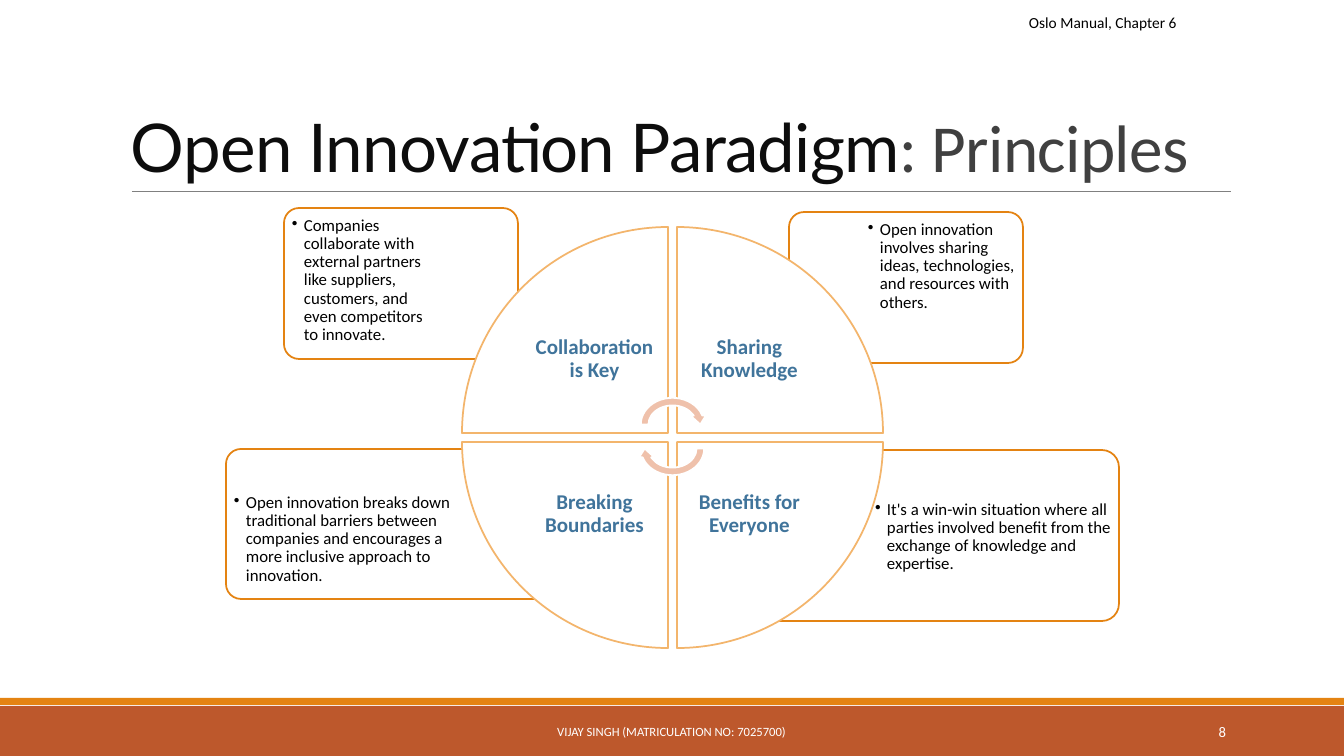
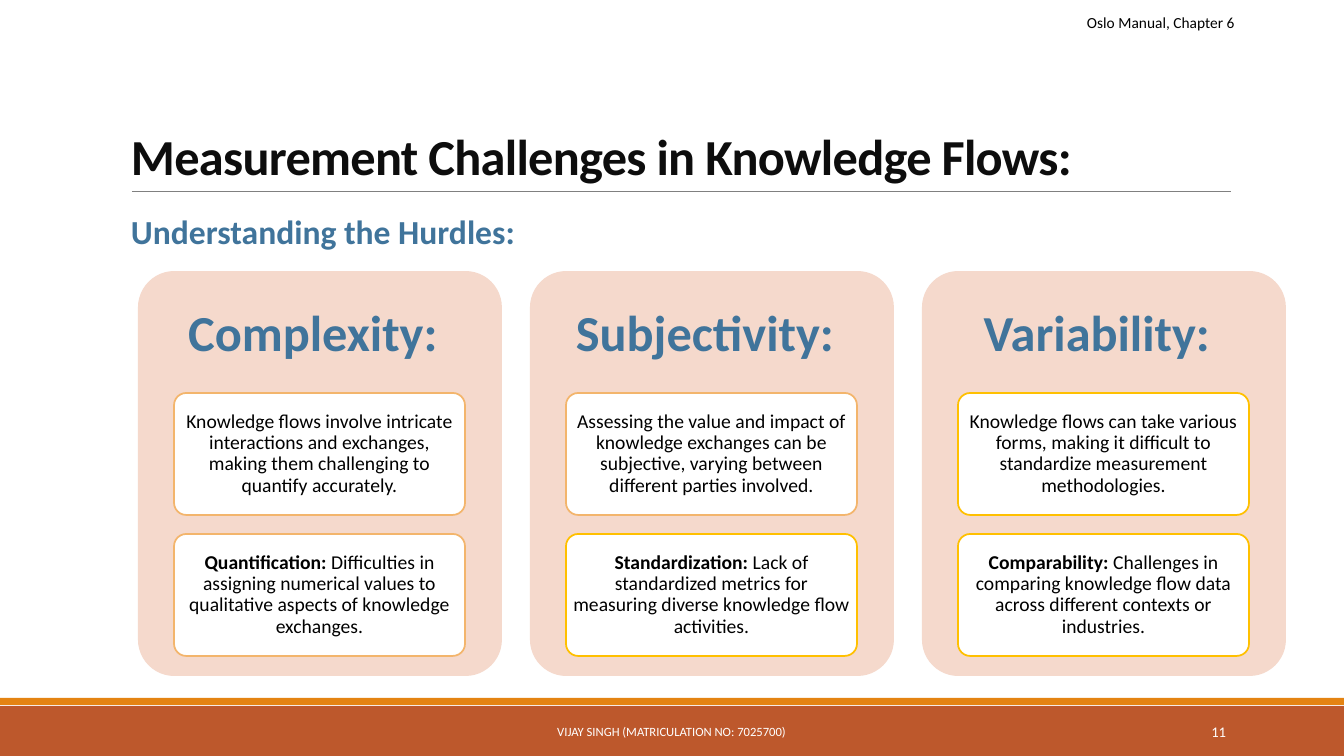
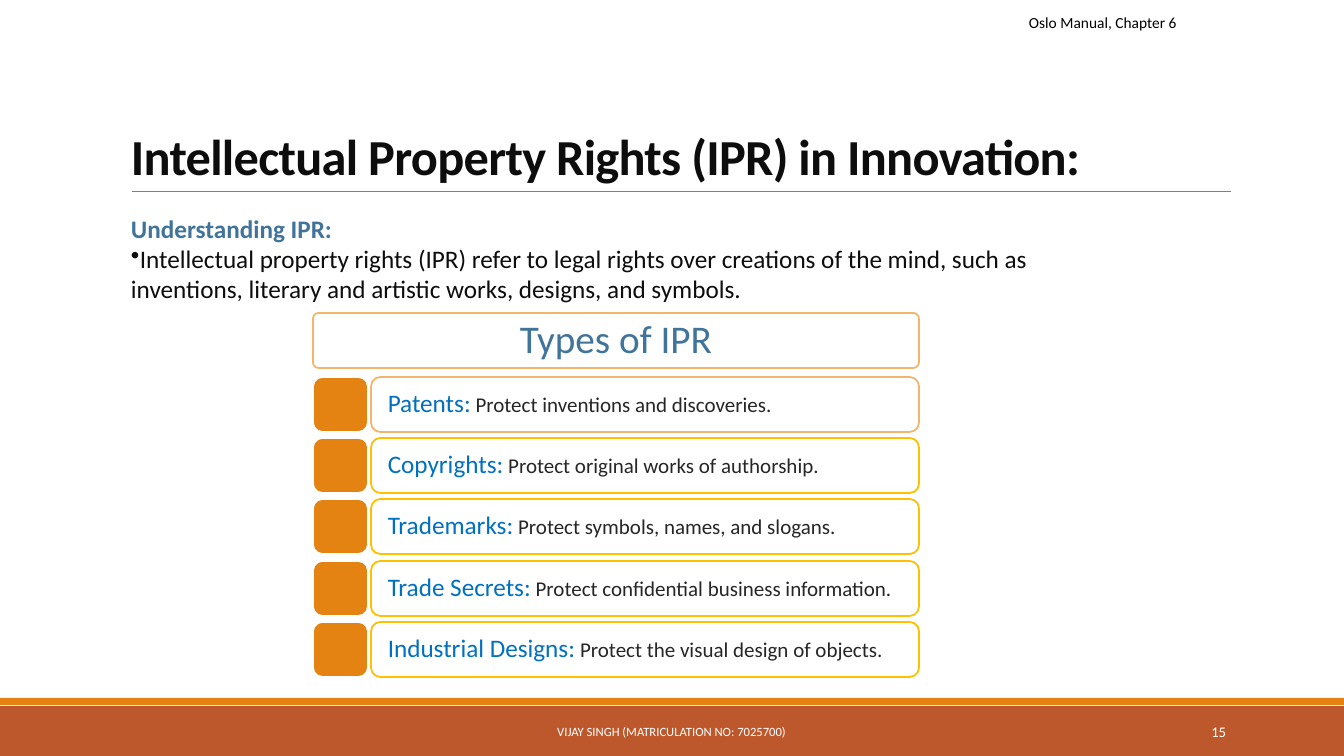
"""Build three slides on open innovation, knowledge flows and IPR."""
import dataclasses

import lxml.etree
import pptx
import pptx.dml.color
import pptx.enum.shapes
import pptx.enum.text
import pptx.oxml.ns
import pptx.util

SHAPE = pptx.enum.shapes.MSO_SHAPE
ALIGN = pptx.enum.text.PP_ALIGN
ANCHOR = pptx.enum.text.MSO_ANCHOR
EMU_PER_PX = 914400 / 100.8


@dataclasses.dataclass(frozen=True)
class Theme:
    """Colours, fonts and type sizes of the deck."""
    rust: str = "BD582C"
    orange: str = "E48312"
    amber: str = "F3B56C"
    gold: str = "FFC000"
    peach: str = "F5D9CC"
    salmon: str = "EFC1AB"
    blue: str = "40749B"
    bright_blue: str = "0070C0"
    black: str = "000000"
    ink: str = "0D0D0D"
    charcoal: str = "262626"
    slate: str = "404040"
    gray: str = "808080"
    white: str = "FFFFFF"
    body_font: str = "Calibri"
    title_font: str = "Lato"
    hero: int = 48
    title: int = 36
    banner: int = 28
    subtitle: int = 24
    lead: int = 18
    label: int = 15
    card: int = 14
    note: int = 12
    source: int = 11
    number: float = 10.5
    footer: int = 9
    outline: float = 1.25
    hairline: float = 0.5


THEME = Theme()


def px(length):
    """Turn px into EMU."""
    return pptx.util.Emu(round(length * EMU_PER_PX))


def rgb(color):
    """Turn a hex string into a colour."""
    return pptx.dml.color.RGBColor.from_string(color)


def write(para, text, size=THEME.lead, color=THEME.black, bold=False,
          font=THEME.body_font, tracking=0):
    """Add one formatted span to a paragraph."""
    span = para.add_run()
    span.text = text
    span.font.size = pptx.util.Pt(size)
    span.font.name = font
    span.font.bold = bold
    span.font.color.rgb = rgb(color)
    if tracking:
        span._r.get_or_add_rPr().set("spc", str(round(tracking * 100)))


class Painter:
    """Hold the deck and its current page, and draw each kind of element."""

    def __init__(self):
        """Start an empty widescreen deck."""
        self.deck = pptx.Presentation()
        self.deck.slide_width = px(1344)
        self.deck.slide_height = px(756)
        self.page = None

    def start_page(self, number, title, source_left=1019):
        """Add a page with its bands, rule, title, source and footer."""
        self.page = self.deck.slides.add_slide(self.deck.slide_layouts[6])
        self.shape(SHAPE.RECTANGLE, (0, 706, 1344, 50), THEME.rust)
        self.shape(SHAPE.RECTANGLE, (0, 698, 1344, 7), THEME.orange)
        self.rule(132, 1231, 191)
        self.text((121, 31, 1109, 160), title, anchor=ANCHOR.BOTTOM, spacing=0.85)
        self.text((source_left, 8, 232, 29),
                  [("Oslo Manual, Chapter 6", dict(size=THEME.source))])
        white = dict(color=THEME.white)
        self.text((406, 712, 531, 40),
                  [("VIJAY SINGH (MATRICULATION NO: 7025700)",
                    dict(size=THEME.footer, **white))],
                  anchor=ANCHOR.MIDDLE, align=ALIGN.CENTER)
        self.text((1092, 712, 144, 40),
                  [(str(number), dict(size=THEME.number, **white))],
                  anchor=ANCHOR.MIDDLE, align=ALIGN.RIGHT)

    def rule(self, left, right, top):
        """Draw a thin horizontal line."""
        line = self.page.shapes.add_connector(
            pptx.enum.shapes.MSO_CONNECTOR.STRAIGHT,
            px(left), px(top), px(right), px(top))
        line.line.color.rgb = rgb(THEME.gray)
        line.line.width = pptx.util.Pt(THEME.hairline)
        lxml.etree.SubElement(line._element.spPr, pptx.oxml.ns.qn("a:effectLst"))

    def shape(self, kind, place, fill, outline=None, corner=None, rotation=0):
        """Draw a filled preset shape."""
        shape = self.page.shapes.add_shape(kind, *map(px, place))
        shape.shadow.inherit = False
        shape.fill.solid()
        shape.fill.fore_color.rgb = rgb(fill)
        if outline:
            shape.line.color.rgb = rgb(outline)
            shape.line.width = pptx.util.Pt(THEME.outline)
        else:
            shape.line.fill.background()
        if corner is not None:
            shape.adjustments[0] = corner
        shape.rotation = rotation
        return shape

    def panel(self, place, outline, spans, corner=0.1, **layout):
        """Draw a white rounded box that carries text."""
        box = self.shape(SHAPE.ROUNDED_RECTANGLE, place, THEME.white, outline, corner)
        if spans:
            self.fill_frame(box.text_frame, spans, anchor=ANCHOR.MIDDLE,
                            spacing=0.9, **layout)

    def text(self, place, spans, **layout):
        """Add a text box with one paragraph."""
        box = self.page.shapes.add_textbox(*map(px, place))
        self.fill_frame(box.text_frame, spans, **layout)
        return box.text_frame

    def fill_frame(self, frame, spans, anchor=ANCHOR.TOP, inset=(10, 5), **layout):
        """Set up a text frame and write its first paragraph."""
        frame.word_wrap = True
        frame.vertical_anchor = anchor
        frame.margin_left = frame.margin_right = px(inset[0])
        frame.margin_top = frame.margin_bottom = px(inset[1])
        self.paragraph(frame.paragraphs[0], spans, **layout)

    def paragraph(self, para, spans, align=ALIGN.LEFT, spacing=1.0, bullet_indent=None):
        """Format a paragraph and write its spans."""
        para.alignment = align
        para.line_spacing = spacing
        if bullet_indent is not None:
            properties = para._p.get_or_add_pPr()
            properties.set("marL", str(px(bullet_indent)))
            properties.set("indent", str(px(-bullet_indent)))
            bullet = lxml.etree.SubElement(properties, pptx.oxml.ns.qn("a:buChar"))
            bullet.set("char", "•")
        for text, style in spans:
            write(para, text, **style)


def bold_title(text):
    """Give the spans of a plain bold title."""
    return [(text, dict(size=THEME.title, color=THEME.ink, bold=True, tracking=-0.5))]


def draw_principles(painter):
    """Draw the wheel of open innovation principles."""
    hero = dict(size=THEME.hero, tracking=-0.5)
    painter.start_page(8, [
        ("Open Innovation Paradigm", dict(color=THEME.ink, font=THEME.title_font, **hero)),
        (": Principles", dict(color=THEME.slate, **hero))])

    notes = [
        ((757, 450, 362, 171), (870, 496, 246, 121),
         "It's a win-win situation where all parties involved benefit from "
         "the exchange of knowledge and expertise."),
        ((226, 449, 362, 150), (229, 489, 247, 106),
         "Open innovation breaks down traditional barriers between companies "
         "and encourages a more inclusive approach to innovation."),
        ((789, 212, 234, 151), (863, 216, 157, 107),
         "Open innovation involves sharing ideas, technologies, and resources "
         "with others."),
        ((284, 208, 234, 151), (287, 212, 157, 107),
         "Companies collaborate with external partners like suppliers, "
         "customers, and even competitors to innovate."),
    ]
    for frame, text_place, note in notes:
        painter.panel(frame, THEME.orange, None)
        painter.text(text_place, [(note, dict(size=THEME.note))],
                     inset=(5, 5), spacing=0.9, bullet_indent=12)

    quarters = [("Collaboration is Key", 0, 0), ("Sharing Knowledge", 1, 0),
                ("Benefits for Everyone", 1, 1), ("Breaking Boundaries", 0, 1)]
    for turn, (label, column, row) in enumerate(quarters):
        left, top = 462 + 215 * column, 227 + 215 * row
        painter.shape(SHAPE.PIE_WEDGE, (left, top, 206, 206), THEME.white,
                      THEME.amber, rotation=90 * turn)
        painter.text((left + 60 * (1 - column), top + 60 * (1 - row), 145, 145),
                     [(label, dict(size=THEME.label, color=THEME.blue, bold=True))],
                     anchor=ANCHOR.MIDDLE, inset=(12, 12), align=ALIGN.CENTER,
                     spacing=0.9)

    for top, rotation in ((394, 0), (418, 180)):
        painter.shape(SHAPE.CIRCULAR_ARROW, (637, top, 71, 61), THEME.salmon,
                      THEME.white, rotation=rotation)


def draw_challenges(painter):
    """Draw the three cards of measurement challenges."""
    painter.start_page(11, bold_title("Measurement Challenges in Knowledge Flows:"),
                       source_left=1077)
    painter.text((121, 206, 1070, 50), [
        ("Understanding the Hurdles:",
         dict(size=THEME.subtitle, color=THEME.blue, bold=True))])

    cards = [
        ("Complexity:", (THEME.amber, THEME.amber),
         "Knowledge flows involve intricate interactions and exchanges, "
         "making them challenging to quantify accurately.",
         "Quantification:",
         " Difficulties in assigning numerical values to qualitative aspects "
         "of knowledge exchanges."),
        ("Subjectivity:", (THEME.amber, THEME.gold),
         "Assessing the value and impact of knowledge exchanges can be "
         "subjective, varying between different parties involved.",
         "Standardization:",
         " Lack of standardized metrics for measuring diverse knowledge flow "
         "activities."),
        ("Variability:", (THEME.gold, THEME.gold),
         "Knowledge flows can take various forms, making it difficult to "
         "standardize measurement methodologies.",
         "Comparability:",
         " Challenges in comparing knowledge flow data across different "
         "contexts or industries."),
    ]
    plain = dict(size=THEME.card)
    for column, (heading, outlines, problem, term, detail) in enumerate(cards):
        left = 138 + 392 * column
        painter.shape(SHAPE.ROUNDED_RECTANGLE, (left, 271, 364, 405),
                      THEME.peach, corner=0.1)
        painter.text((left - 7, 274, 364, 122),
                     [(heading, dict(size=THEME.title, color=THEME.blue, bold=True))],
                     anchor=ANCHOR.MIDDLE, inset=(15, 15), align=ALIGN.CENTER,
                     spacing=0.9)
        texts = ([(problem, plain)], [(term, dict(bold=True, **plain)), (detail, plain)])
        for row, (outline, spans) in enumerate(zip(outlines, texts)):
            painter.panel((left + 36, 393 + 141 * row, 291, 122), outline, spans,
                          inset=(3, 3), align=ALIGN.CENTER)


def draw_rights(painter):
    """Draw the list of intellectual property rights."""
    painter.start_page(15, bold_title("Intellectual Property Rights (IPR) in Innovation:"))
    frame = painter.text((121, 208, 1030, 132), [
        ("Understanding IPR:", dict(color=THEME.blue, bold=True))])
    painter.paragraph(frame.add_paragraph(), [
        ("Intellectual property rights (IPR) refer to legal rights over creations "
         "of the mind, such as inventions, literary and artistic works, designs, "
         "and symbols.", dict(color=THEME.ink))], bullet_indent=0)

    painter.panel((313, 313, 606, 55), THEME.amber,
                  [("Types of IPR", dict(size=THEME.banner, color=THEME.blue))],
                  inset=(6, 0), align=ALIGN.CENTER)
    rights = [
        ("Patents:", " Protect inventions and discoveries."),
        ("Copyrights:", " Protect original works of authorship."),
        ("Trademarks:", " Protect symbols, names, and slogans."),
        ("Trade Secrets:", " Protect confidential business information."),
        ("Industrial Designs:", " Protect the visual design of objects."),
    ]
    for row, (name, purpose) in enumerate(rights):
        top = 377 + round(61.25 * row)
        painter.shape(SHAPE.ROUNDED_RECTANGLE, (313, top, 55, 55), THEME.orange,
                      THEME.white, corner=0.17)
        painter.panel((371, top, 548, 55), THEME.gold if row else THEME.amber,
                      [(name, dict(color=THEME.bright_blue)),
                       (purpose, dict(size=THEME.label, color=THEME.charcoal))],
                      corner=0.17, inset=(14, 0))


def main():
    """Draw all pages and save the deck."""
    painter = Painter()
    draw_principles(painter)
    draw_challenges(painter)
    draw_rights(painter)
    painter.deck.save("out.pptx")


if __name__ == "__main__":
    main()
